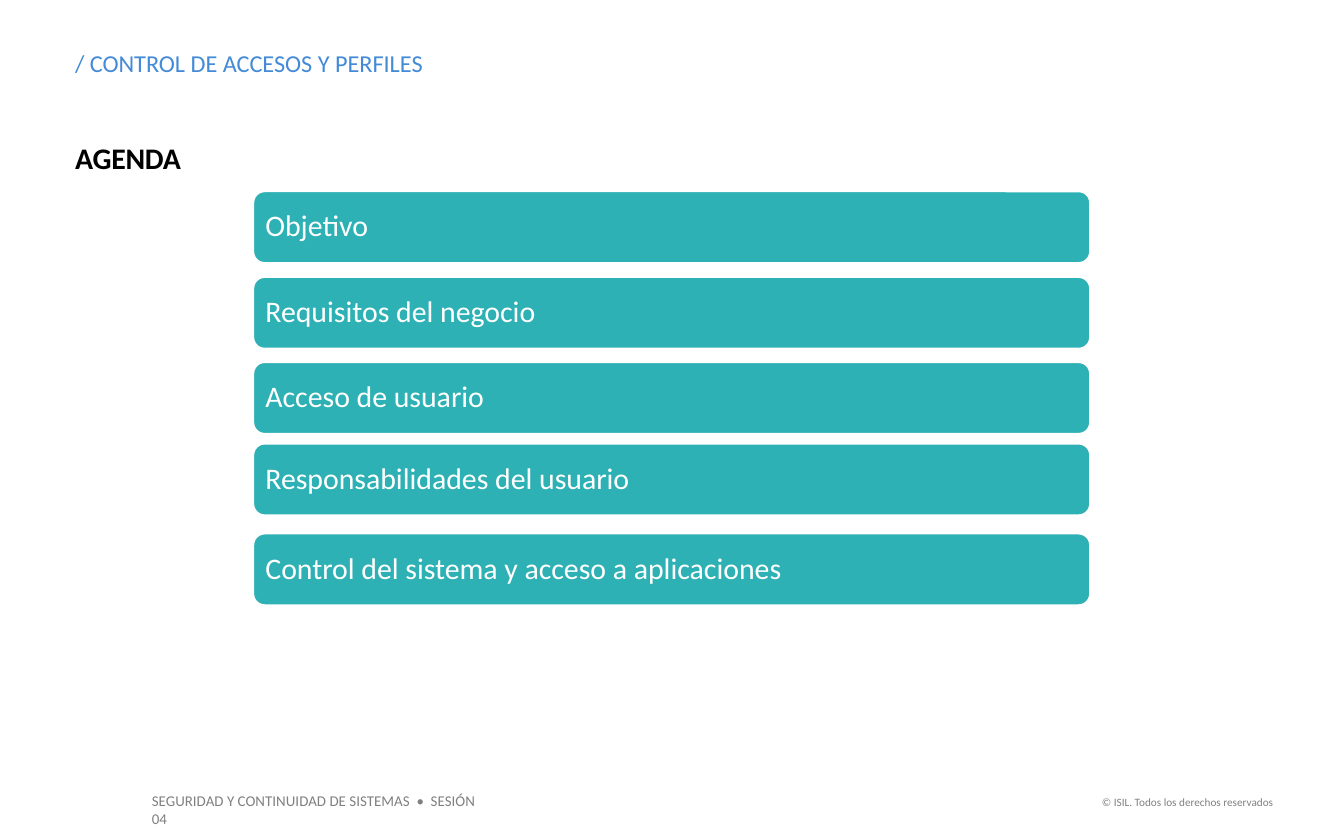
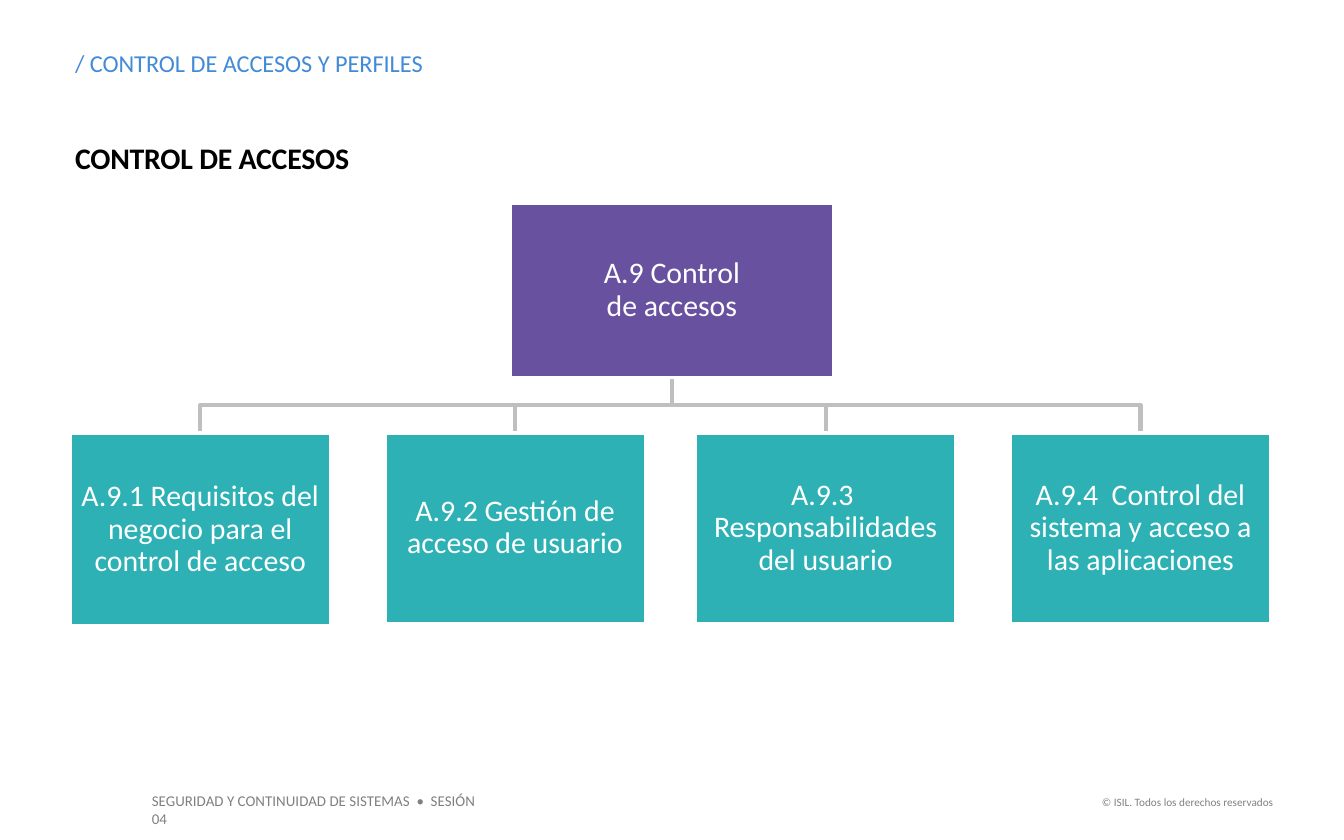
from pptx import Presentation
from pptx.dml.color import RGBColor
from pptx.enum.shapes import MSO_SHAPE
from pptx.enum.text import MSO_ANCHOR, MSO_AUTO_SIZE, PP_ALIGN
from pptx.util import Cm, Pt

FONT = "Calibri"
COLORS = {
    "white": "FFFFFF",
    "black": "000000",
    "blue": "438AD7",
    "teal": "2EB1B5",
    "purple": "68529F",
    "gray": "808080",
    "line": "BFBFBF",
}
MARGIN = 1.42
TOPICS = [
    ("Objetivo", 3.6),
    ("Requisitos del negocio", 5.22),
    ("Acceso de usuario", 6.83),
    ("Responsabilidades del usuario", 8.37),
    ("Control del sistema y acceso a aplicaciones", 10.07),
]
ROOT = (9.64, 3.84, 6.12, 3.3)
WIDTH, TOP = 4.93, 8.18
GROUPS = [
    ("A.9.1 Requisitos del negocio para el control de acceso", 1.32, 3.66),
    ("A.9.2 Gestión de acceso de usuario", 7.27, 3.61),
    ("A.9.3  Responsabilidades del usuario", 13.14, 3.61),
    ("A.9.4  Control del sistema y acceso a las aplicaciones", 19.09, 3.61),
]


def color(name):
    return RGBColor.from_string(COLORS[name])


def inset(frame, side, edge):
    frame.margin_left = frame.margin_right = Cm(side)
    frame.margin_top = frame.margin_bottom = Cm(edge)


def write(frame, text, size, tone, align=PP_ALIGN.LEFT, bold=False):
    frame.word_wrap = True
    para = frame.paragraphs[0]
    para.alignment = align
    for row, line in enumerate(text.split("\n")):
        if row:
            para.add_line_break()
        run = para.add_run()
        run.text = line
        run.font.name = FONT
        run.font.size = Pt(size)
        run.font.bold = bold
        run.font.color.rgb = color(tone)
    return para


def label(slide, area, text, size, tone, pad=(0, 0), **style):
    frame = slide.shapes.add_textbox(*map(Cm, area)).text_frame
    frame.auto_size = MSO_AUTO_SIZE.SHAPE_TO_FIT_TEXT
    inset(frame, *pad)
    return write(frame, text, size, tone, **style)


def block(slide, kind, area, text, tone, pad, align=PP_ALIGN.CENTER):
    shape = slide.shapes.add_shape(kind, *map(Cm, area))
    shape.shadow.inherit = False
    shape.fill.solid()
    shape.fill.fore_color.rgb = color(tone)
    shape.line.color.rgb = color("white")
    shape.line.width = Pt(2)
    frame = shape.text_frame
    frame.vertical_anchor = MSO_ANCHOR.MIDDLE
    inset(frame, pad, pad)
    write(frame, text, 16, "white", align).line_spacing = 0.9


def branch(slide, start, end):
    (left, top), (right, low) = start, end
    mid = (top + low) / 2
    path = slide.shapes.build_freeform(Cm(left), Cm(top))
    points = [(left, mid), (right, mid), (right, low)]
    path.add_line_segments([(Cm(x), Cm(y)) for x, y in points], close=False)
    shape = path.convert_to_shape()
    shape.shadow.inherit = False
    shape.fill.background()
    shape.line.color.rgb = color("line")
    shape.line.width = Pt(2.25)


def page(deck, title):
    slide = deck.slides.add_slide(deck.slide_layouts[6])
    pad = (0.25, 0.13)
    label(slide, (2.62, 14.83, 6.96, 0.61),
          "SEGURIDAD Y CONTINUIDAD DE SISTEMAS  •  SESIÓN 04", 8, "gray", pad)
    label(slide, (20.5, 14.91, 3.81, 0.51),
          "© ISIL. Todos los derechos reservados", 6, "gray", pad,
          align=PP_ALIGN.RIGHT)
    label(slide, (MARGIN, 0.91, 16.76, 0.56),
          "/ CONTROL DE ACCESOS Y PERFILES", 13, "blue")
    head = label(slide, (MARGIN, 2.64, 22.68, 0.69), title, 16, "black",
                 bold=True)
    head.runs[0].font._element.set("spc", "-10")
    return slide


def agenda(deck):
    slide = page(deck, "AGENDA")
    for text, top in TOPICS:
        block(slide, MSO_SHAPE.ROUNDED_RECTANGLE, (4.77, top, 15.85, 1.39),
              text, "teal", 0.18, PP_ALIGN.LEFT)


def access(deck):
    slide = page(deck, "CONTROL DE ACCESOS")
    left, top, width, height = ROOT
    start = (left + width / 2, top + height)
    for _, x, _ in reversed(GROUPS):
        branch(slide, start, (x + WIDTH / 2, TOP))
    block(slide, MSO_SHAPE.RECTANGLE, ROOT, "A.9 Control\nde accesos",
          "purple", 0.03)
    for text, x, tall in GROUPS:
        block(slide, MSO_SHAPE.RECTANGLE, (x, TOP, WIDTH, tall), text,
              "teal", 0.03)


def main():
    deck = Presentation()
    deck.slide_width = Cm(25.4)
    deck.slide_height = Cm(15.88)
    agenda(deck)
    access(deck)
    deck.save("out.pptx")


if __name__ == "__main__":
    main()
